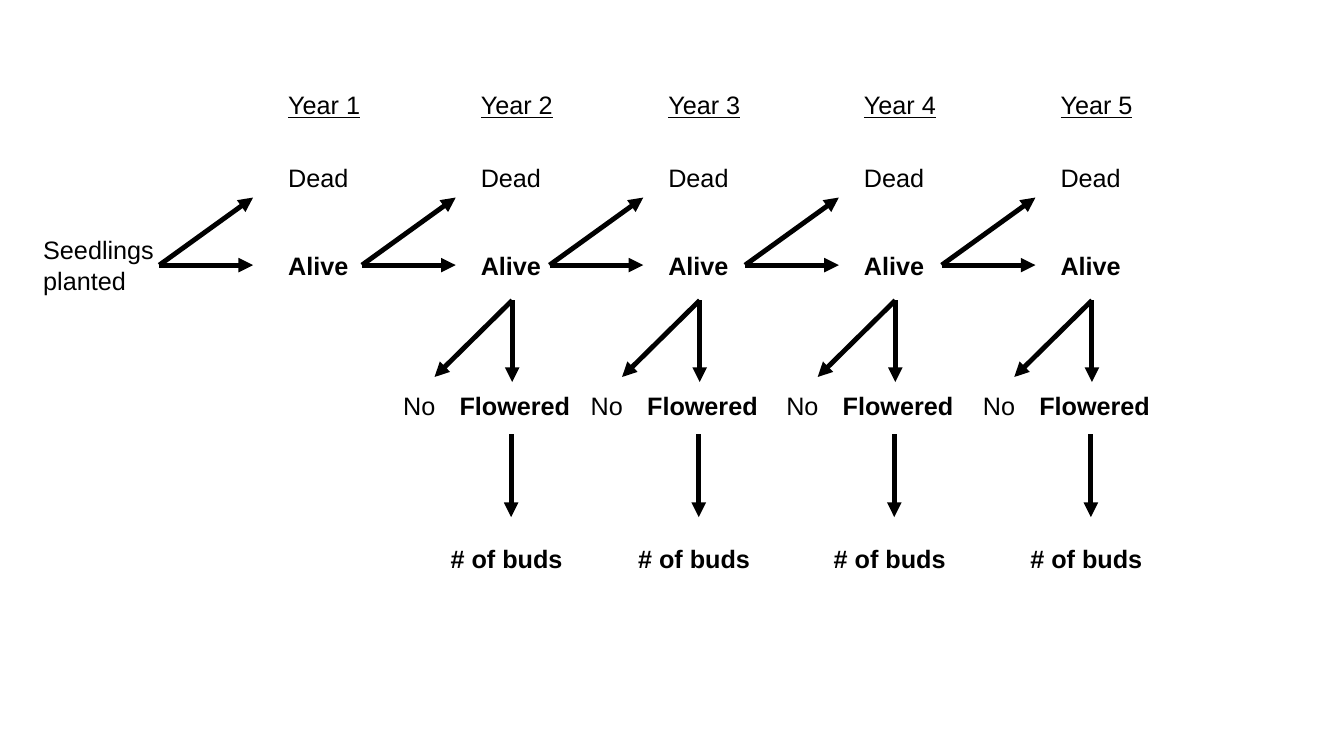
"""Build a slide that follows planted seedlings through five yearly checks."""
from dataclasses import dataclass

from lxml.etree import SubElement
from pptx import Presentation
from pptx.dml.color import RGBColor
from pptx.enum.shapes import MSO_CONNECTOR
from pptx.enum.text import MSO_AUTO_SIZE as AutoSize
from pptx.oxml.ns import qn
from pptx.util import Inches, Pt


@dataclass(frozen=True)
class Theme:
    ink: RGBColor = RGBColor(0, 0, 0)
    font: str = "Arial"
    text_size: Pt = Pt(18)
    arrow_width: Pt = Pt(3.5)


theme = Theme()
deck = Presentation()
deck.slide_width, deck.slide_height = Inches(13.33), Inches(7.5)
page = deck.slides.add_slide(deck.slide_layouts[6])


def add_label(text, left, top, height=0.4, bold=False, underline=False):
    box = page.shapes.add_textbox(Inches(left), Inches(top), Inches(1.39), Inches(height))
    frame = box.text_frame
    frame.word_wrap = True
    frame.auto_size = AutoSize.SHAPE_TO_FIT_TEXT
    frame.text = text
    font = frame.paragraphs[0].runs[0].font
    font.name, font.size, font.color.rgb = theme.font, theme.text_size, theme.ink
    if bold:
        font.bold = True
    if underline:
        font.underline = True


def add_arrow(start_x, start_y, end_x, end_y):
    arrow = page.shapes.add_connector(
        MSO_CONNECTOR.STRAIGHT,
        Inches(start_x), Inches(start_y), Inches(end_x), Inches(end_y),
    )
    arrow.line.color.rgb = theme.ink
    arrow.line.width = theme.arrow_width
    SubElement(arrow.line._get_or_add_ln(), qn("a:tailEnd"), type="triangle")
    SubElement(arrow._element.spPr, qn("a:effectLst"))


add_label("Seedlings planted", 0.33, 2.28, height=0.71)

year_lefts = [2.76, 4.67, 6.53, 8.47, 10.42]
for year, left in enumerate(year_lefts, start=1):
    add_label(f"Year {year}", left, 0.84, underline=True)
    add_label("Dead", left, 1.56)
    add_label("Alive", left, 2.43, bold=True)

    fork_x = left - (1.18 if year == 1 else 1.08)
    for outcome_y in (2.63, 1.96):
        add_arrow(fork_x, 2.63, fork_x + 0.93, outcome_y)

    if year > 1:
        stem_x = left + 0.41
        add_arrow(stem_x, 2.98, stem_x, 3.79)
        add_arrow(stem_x, 2.98, stem_x - 0.77, 3.74)
        add_label("No", left - 0.77, 3.82)
        add_label("Flowered", left - 0.21, 3.82, bold=True)
        add_arrow(stem_x - 0.01, 4.31, stem_x - 0.01, 5.13)
        add_label("# of buds", left - 0.3, 5.34, bold=True)

deck.save("out.pptx")
